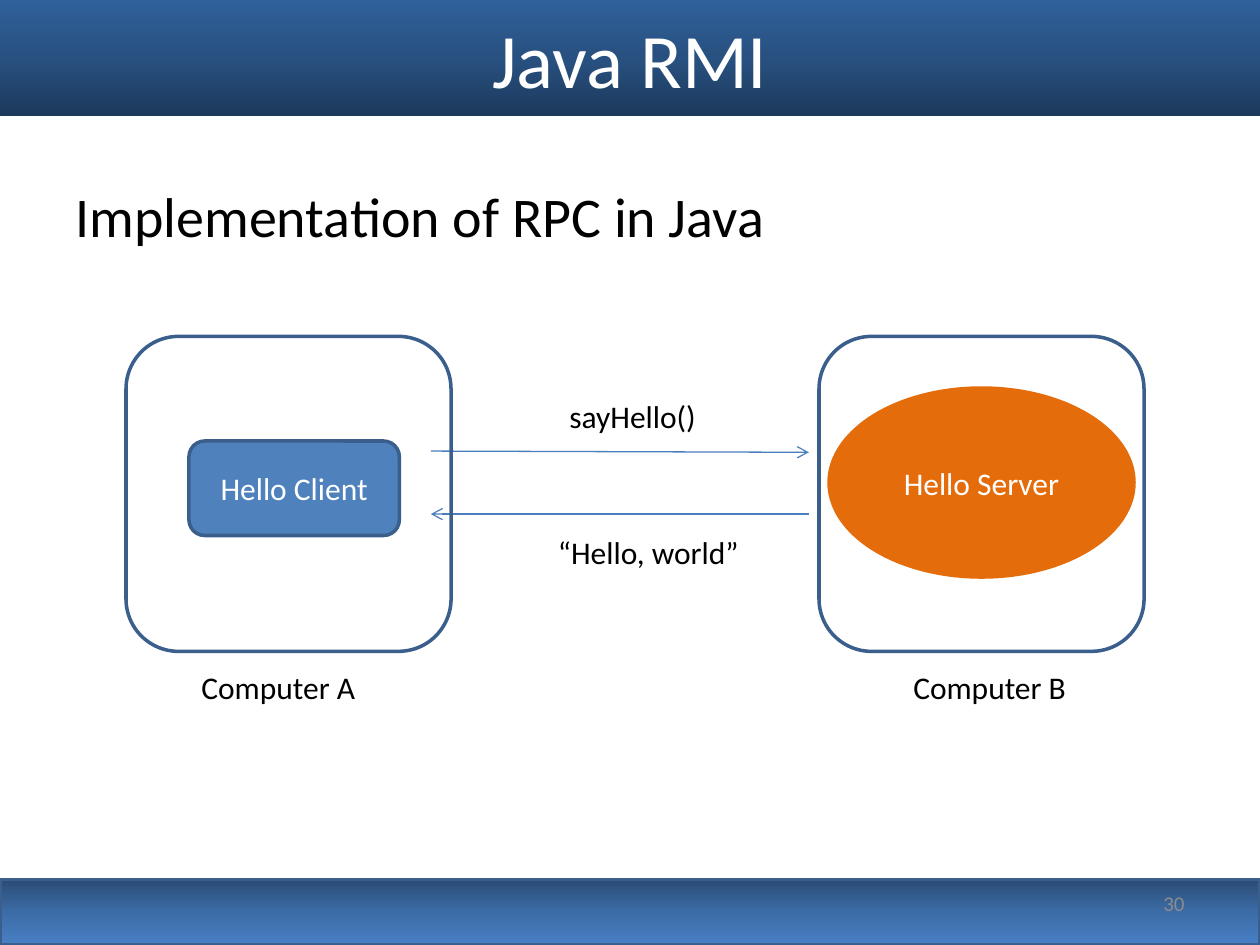
from lxml.etree import SubElement
from pptx import Presentation
from pptx.dml.color import RGBColor
from pptx.enum.shapes import MSO_CONNECTOR, MSO_SHAPE
from pptx.enum.text import MSO_ANCHOR, PP_ALIGN
from pptx.oxml.ns import qn
from pptx.util import Inches, Pt

FONT = "Calibri"
WHITE, BLACK, GRAY = "FFFFFF", "000000", "8C8C8C"
BORDER, BLUE, ORANGE, ARROW = "3A5F8C", "4F81BD", "E46C0A", "4B7EBC"


def rgb(value):
    return RGBColor.from_string(value)


class Board:
    def __init__(self, slide):
        self.slide = slide

    def label(self, shape, text, size=18, color=BLACK, align=PP_ALIGN.LEFT,
              anchor=MSO_ANCHOR.TOP, wrap=True):
        frame = shape.text_frame
        frame.word_wrap = wrap
        frame.vertical_anchor = anchor
        paragraph = frame.paragraphs[0]
        paragraph.alignment = align
        run = paragraph.add_run()
        run.text = text
        run.font.color.rgb = rgb(color)
        for name, value in {"name": FONT, "size": Pt(size)}.items():
            setattr(run.font, name, value)
        return paragraph

    def text(self, box, text, **style):
        shape = self.slide.shapes.add_textbox(*map(Inches, box))
        return self.label(shape, text, **style)

    def shape(self, kind, box, fill=None, line=None, text=None, size=18):
        shape = self.slide.shapes.add_shape(kind, *map(Inches, box))
        shape.shadow.inherit = False
        if fill:
            shape.fill.solid()
            shape.fill.fore_color.rgb = rgb(fill)
        else:
            shape.fill.background()
        if line:
            shape.line.color.rgb = rgb(line)
            shape.line.width = Pt(2)
        else:
            shape.line.fill.background()
        if text:
            self.label(shape, text, size, WHITE, PP_ALIGN.CENTER, MSO_ANCHOR.MIDDLE)
        return shape

    def band(self, box, colors, angle, **style):
        band = self.shape(MSO_SHAPE.RECTANGLE, box, **style)
        band.fill.gradient()
        band.fill.gradient_angle = angle
        for stop, color, position in zip(band.fill.gradient_stops, colors[::2], (0, 1)):
            stop.color.rgb = rgb(color)
            stop.position = position
        stop_list = band._element.spPr.find(qn("a:gradFill")).find(qn("a:gsLst"))
        middle = SubElement(stop_list, qn("a:gs"), pos="50000")
        SubElement(middle, qn("a:srgbClr"), val=colors[1])
        stop_list.insert(1, middle)

    def arrow(self, start, end):
        arrow = self.slide.shapes.add_connector(
            MSO_CONNECTOR.STRAIGHT, *map(Inches, start + end))
        arrow.line.color.rgb = rgb(ARROW)
        arrow.line.width = Pt(0.75)
        properties = arrow._element.spPr
        SubElement(properties.find(qn("a:ln")), qn("a:tailEnd"), type="arrow")
        SubElement(properties, qn("a:effectLst"))


deck = Presentation()
deck.slide_width, deck.slide_height = Inches(10), Inches(7.5)
board = Board(deck.slides.add_slide(deck.slide_layouts[6]))

board.band((0, 6.98, 10, 0.52), ("2A4C75", "3C6CA6", "4780C5"), 270, line=BORDER)
board.band((0, 0, 10, 0.92), ("1C395B", "285181", "306099"), 90,
           text="Java RMI", size=44)

statement = board.text((0.5, 1.39, 9, 1.36), "Implementation of RPC in Java", size=32)
statement.space_before = Pt(2)
board.text((7.17, 6.97, 2.33, 0.4), "30", size=12, color=GRAY,
           align=PP_ALIGN.RIGHT, anchor=MSO_ANCHOR.MIDDLE)

board.shape(MSO_SHAPE.OVAL, (6.58, 3.08, 2.42, 1.5), ORANGE, ORANGE, "Hello Server")
board.shape(MSO_SHAPE.ROUNDED_RECTANGLE, (1.5, 3.5, 1.67, 0.75), BLUE, BORDER,
            "Hello Client")

client_end, server_end = 3.42, 6.42
board.arrow((client_end, 3.58), (server_end, 3.59))
board.arrow((server_end, 4.08), (client_end, 4.08))
board.text((4.42, 3.1, 1.22, 0.4), "sayHello()", wrap=False)
board.text((4.33, 4.18, 1.65, 0.4), "“Hello, world”", wrap=False)

for computer, left, label_left in (("Computer A", 1, 1.5), ("Computer B", 6.5, 7.15)):
    board.shape(MSO_SHAPE.ROUNDED_RECTANGLE, (left, 2.67, 2.58, 2.5), line=BORDER)
    board.text((label_left, 5.25, 1.44, 0.4), computer, wrap=False)

deck.save("out.pptx")
